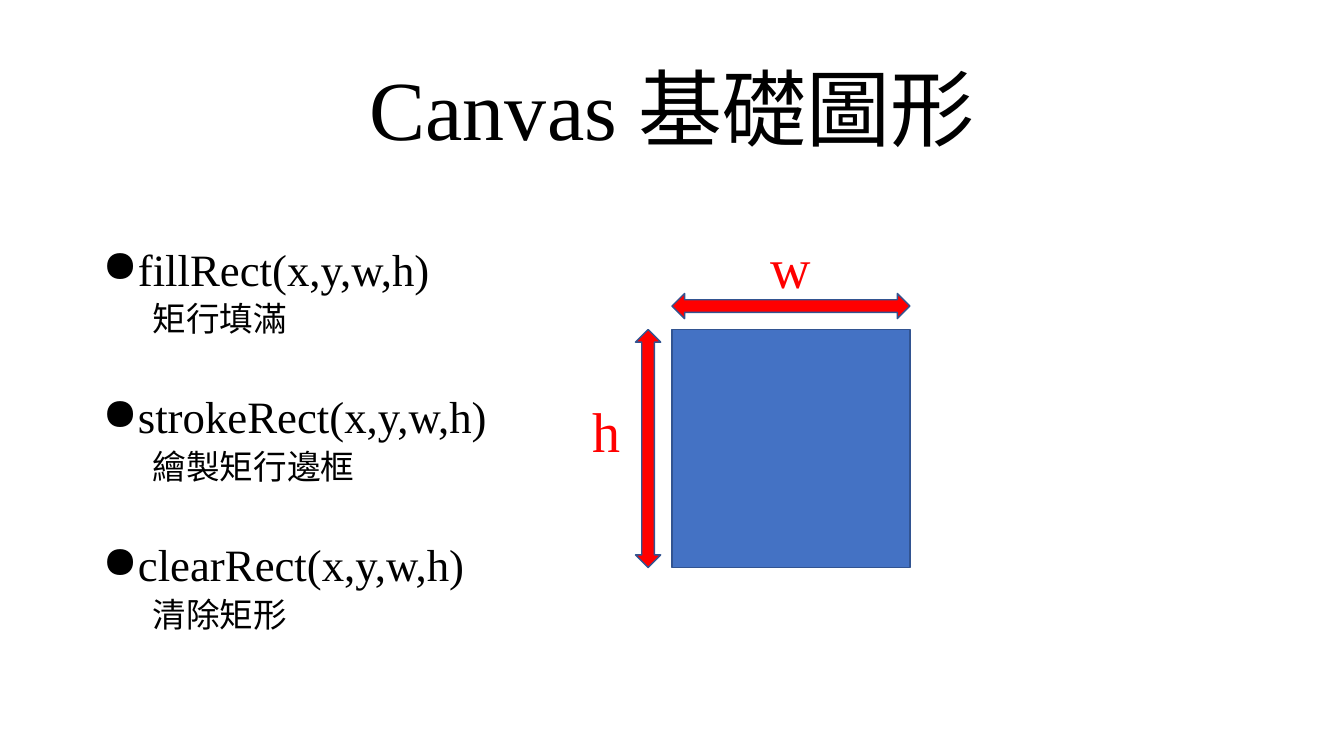
from lxml.etree import SubElement
from pptx import Presentation
from pptx.dml.color import RGBColor
from pptx.enum.shapes import MSO_SHAPE as SHAPE
from pptx.enum.text import MSO_ANCHOR as ANCHOR, PP_ALIGN as ALIGN
from pptx.oxml.ns import qn
from pptx.util import Pt

FONT = "Times New Roman"
BLACK, RED, BLUE, OUTLINE = "000000", "FF0000", "4472C4", "325491"
METHODS = [
    ("fillRect(x,y,w,h)", "矩行填滿"),
    ("strokeRect(x,y,w,h)", "繪製矩行邊框"),
    ("clearRect(x,y,w,h)", "清除矩形"),
]


def rgb(value):
    return RGBColor.from_string(value)


def write(p, text, size, color=BLACK, align=ALIGN.LEFT, line=1.0, before=0,
          left=0, bullet=None):
    """Fill a paragraph; left is its indent, and a bullet hangs in it."""
    p.alignment, p.line_spacing, p.space_before = align, line, Pt(before)
    pPr = p._p.get_or_add_pPr()
    pPr.set("marL", str(Pt(left)))
    pPr.set("indent", str(-Pt(left) if bullet else 0))
    if bullet:
        SubElement(pPr, qn("a:buChar"), char=bullet)
    r = p.add_run()
    r.text = text
    r.font.name, r.font.size = FONT, Pt(size)
    r.font.color.rgb = rgb(color)


prs = Presentation()
prs.slide_width, prs.slide_height = Pt(960), Pt(540)
s = prs.slides.add_slide(prs.slide_layouts[6])

# Title
tf = s.shapes.add_textbox(Pt(66), Pt(28.75), Pt(828), Pt(104.4)).text_frame
tf.word_wrap, tf.vertical_anchor = True, ANCHOR.MIDDLE
write(tf.paragraphs[0], "Canvas 基礎圖形", 60, align=ALIGN.CENTER, line=0.9)

# Methods, each with its description
tf = s.shapes.add_textbox(Pt(66), Pt(143.75), Pt(828), Pt(342.6)).text_frame
tf.word_wrap, tf.vertical_anchor = True, ANCHOR.MIDDLE
for i, (method, description) in enumerate(METHODS):
    p = tf.add_paragraph() if i else tf.paragraphs[0]
    write(p, method, 32, line=0.9, before=40 if i else 10, left=18, bullet="●")
    write(tf.add_paragraph(), description, 24, line=0.9, before=5, left=36)

# Square with its width and height arrows
side, thick = 170, 18
left, top = 480, 235.4
mid_x, mid_y = 462.9, top + side / 2  # centre of the height arrow
for kind, x, y, w, h, fill, turn in [
    (SHAPE.RECTANGLE, left, top, side, side, BLUE, 0),
    (SHAPE.LEFT_RIGHT_ARROW, left, 209.6, side, thick, RED, 0),
    (SHAPE.LEFT_RIGHT_ARROW, mid_x - side / 2, mid_y - thick / 2, side, thick, RED, 90),
]:
    sp = s.shapes.add_shape(kind, Pt(x), Pt(y), Pt(w), Pt(h))
    sp.rotation = turn
    sp.shadow.inherit = False
    sp.fill.solid()
    sp.fill.fore_color.rgb = rgb(fill)
    sp.line.color.rgb = rgb(OUTLINE)
    sp.line.width = Pt(1)

for label, x, y, w in [("w", 543.6, 162.7, 42.5), ("h", 416, 280, 29.5)]:
    tf = s.shapes.add_textbox(Pt(x), Pt(y), Pt(w), Pt(55.4)).text_frame
    tf.word_wrap = False
    write(tf.paragraphs[0], label, 40, color=RED)

prs.save("out.pptx")
